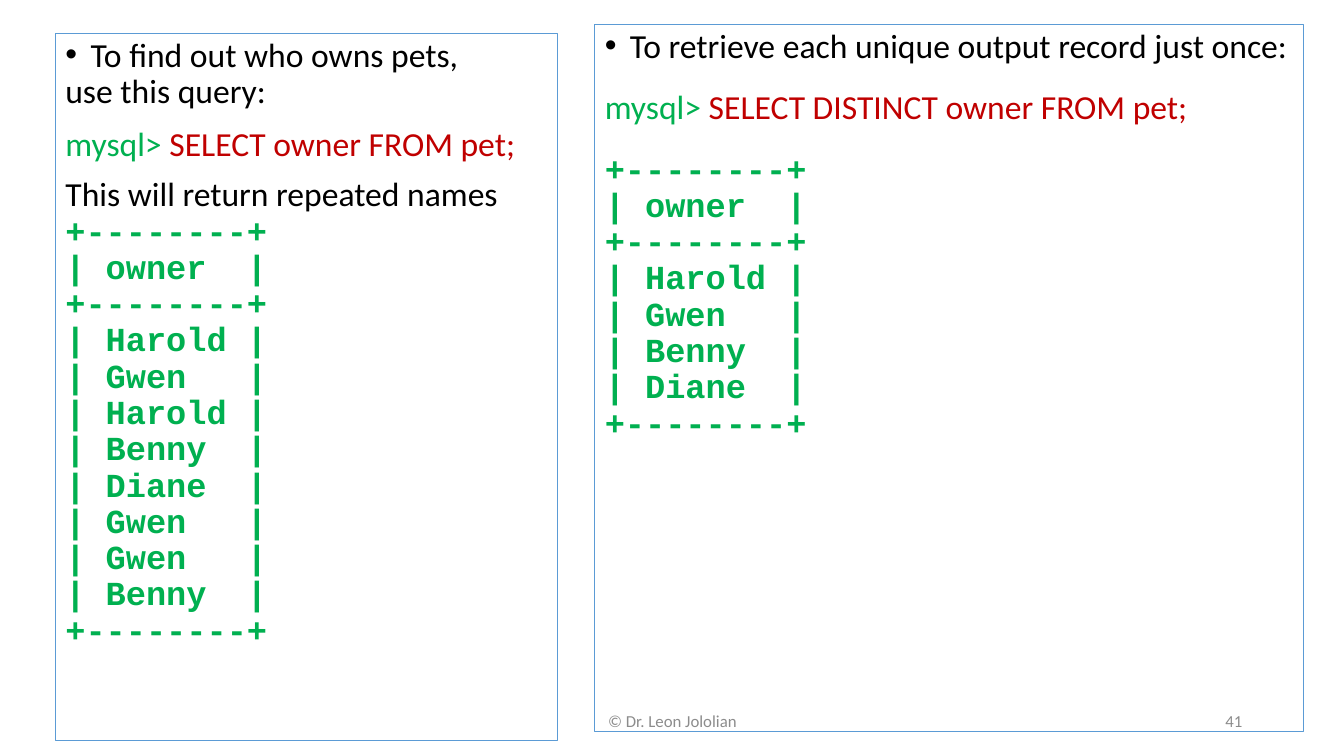
from lxml import etree
from pptx import Presentation
from pptx.dml.color import RGBColor
from pptx.enum.shapes import MSO_SHAPE
from pptx.enum.text import MSO_ANCHOR, PP_ALIGN
from pptx.oxml.ns import qn
from pptx.util import Pt

PX = 9144  # EMU per px, 100 px to the inch
RECTANGLE = MSO_SHAPE.RECTANGLE
TOP, MIDDLE = MSO_ANCHOR.TOP, MSO_ANCHOR.MIDDLE
LEFT, CENTER, RIGHT = PP_ALIGN.LEFT, PP_ALIGN.CENTER, PP_ALIGN.RIGHT
BODY_FONT, CODE_FONT = "Calibri", "Courier New"
COLORS = {
    "border": "5B9BD5",
    "text": "000000",
    "result": "00B050",
    "query": "C00000",
    "footer": "8C8C8C",
}
ALL_OWNERS = ["Harold", "Gwen", "Harold", "Benny", "Diane", "Gwen", "Gwen", "Benny"]
UNIQUE_OWNERS = list(dict.fromkeys(["Harold", "Gwen", "Benny", "Diane"]))


def rgb(name):
    return RGBColor.from_string(COLORS[name])


def box(px):
    return [length * PX for length in px]


def style(font, color, size=24, name=BODY_FONT, bold=False):
    font.name, font.size, font.bold = name, Pt(size), bold
    font.color.rgb = rgb(color)


def add_panel(slide, px):
    """Outlined panel; returns its text frame."""
    panel = slide.shapes.add_shape(RECTANGLE, *box(px))
    panel.shadow.inherit = False
    panel.fill.background()
    panel.line.color.rgb = rgb("border")
    panel.line.width = Pt(0.75)
    frame = panel.text_frame
    frame.word_wrap = True
    frame.vertical_anchor = TOP
    return frame


def add_line(frame, parts, before=0, bullet=False, name=BODY_FONT, bold=False):
    """One paragraph made of (text, color) parts."""
    line = frame.paragraphs[0]
    if line.runs:
        line = frame.add_paragraph()
    line.alignment = LEFT
    line.line_spacing = 0.9
    line.space_before = Pt(before)
    if bullet:
        props = line._p.get_or_add_pPr()
        props.set("marL", str(25 * PX))
        props.set("indent", str(-25 * PX))
        etree.SubElement(props, qn("a:buFont")).set("typeface", "Arial")
        etree.SubElement(props, qn("a:buChar")).set("char", "•")
    for text, color in parts:
        run = line.add_run()
        run.text = text
        style(run.font, color, name=name, bold=bold)


def add_query(frame, query, before):
    add_line(frame, [("mysql> ", "result"), (query, "query")], before)


def add_result(frame, owners, before=0):
    """Query output as the client prints it."""
    rule = "+--------+"
    header, *rows = [f"| {value:<6} |" for value in ["owner", *owners]]
    for number, text in enumerate([rule, header, rule, *rows, rule]):
        add_line(frame, [(text, "result")], 0 if number else before,
                 name=CODE_FONT, bold=True)


def add_footer(slide, px, text, alignment):
    frame = slide.shapes.add_textbox(*box(px)).text_frame
    frame.word_wrap = True
    frame.vertical_anchor = MIDDLE
    frame.text = text
    paragraph = frame.paragraphs[0]
    paragraph.alignment = alignment
    style(paragraph.runs[0].font, "footer", size=12)


def main():
    deck = Presentation()
    deck.slide_width, deck.slide_height = box((1333, 750))
    slide = deck.slides.add_slide(deck.slide_layouts[6])

    # Footer
    add_footer(slide, (442, 695, 450, 40), "© Dr. Leon Jololian", CENTER)
    add_footer(slide, (942, 695, 300, 40), "41", RIGHT)

    # Query with repeated owners
    repeated = add_panel(slide, (55, 33, 498, 702))
    add_line(repeated, [("To find out who owns pets,", "text")], bullet=True)
    add_line(repeated, [("use this query:", "text")])
    add_query(repeated, "SELECT owner FROM pet;", before=12)
    add_line(repeated, [("This will return repeated names", "text")], before=10)
    add_result(repeated, ALL_OWNERS)

    # Query with each owner once
    unique = add_panel(slide, (590, 24, 703, 702))
    add_line(unique, [("To retrieve each unique output record just once:", "text")],
             bullet=True)
    add_query(unique, "SELECT DISTINCT owner FROM pet;", before=18)
    add_result(unique, UNIQUE_OWNERS, before=18)

    deck.save("out.pptx")


if __name__ == "__main__":
    main()
